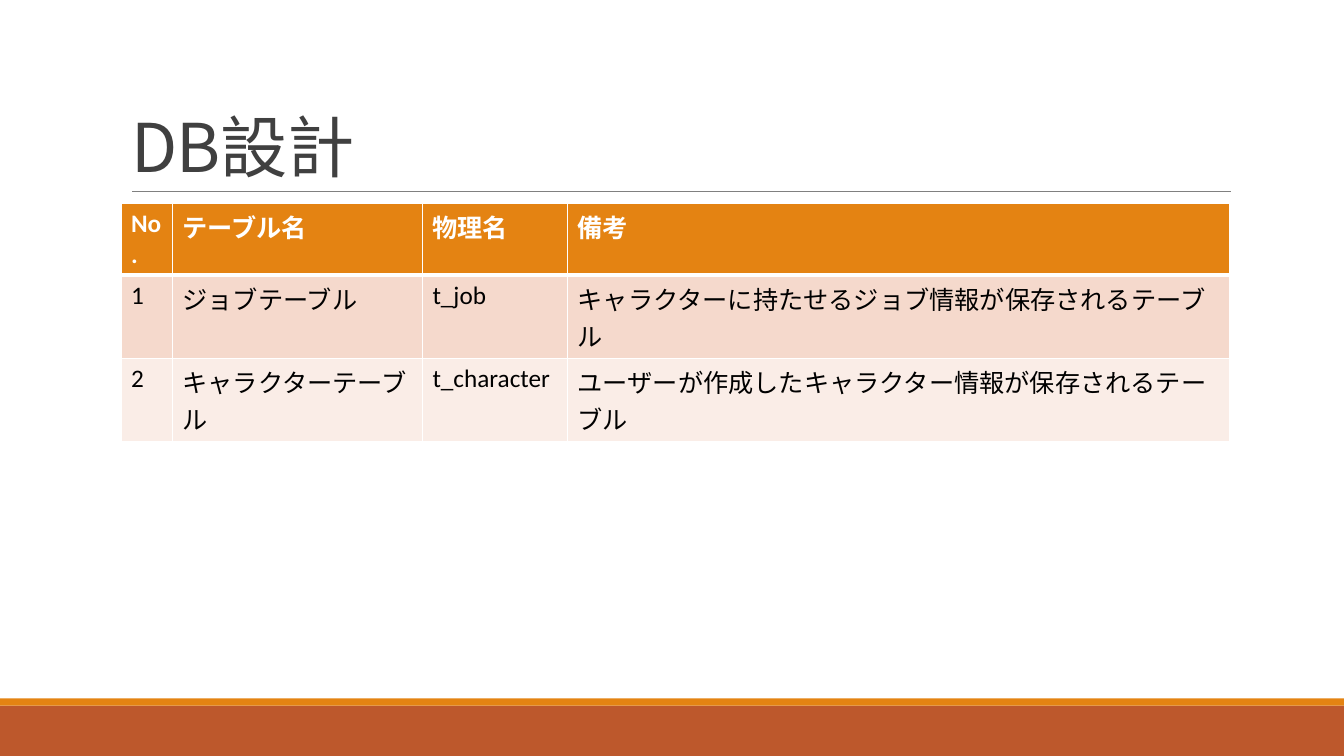
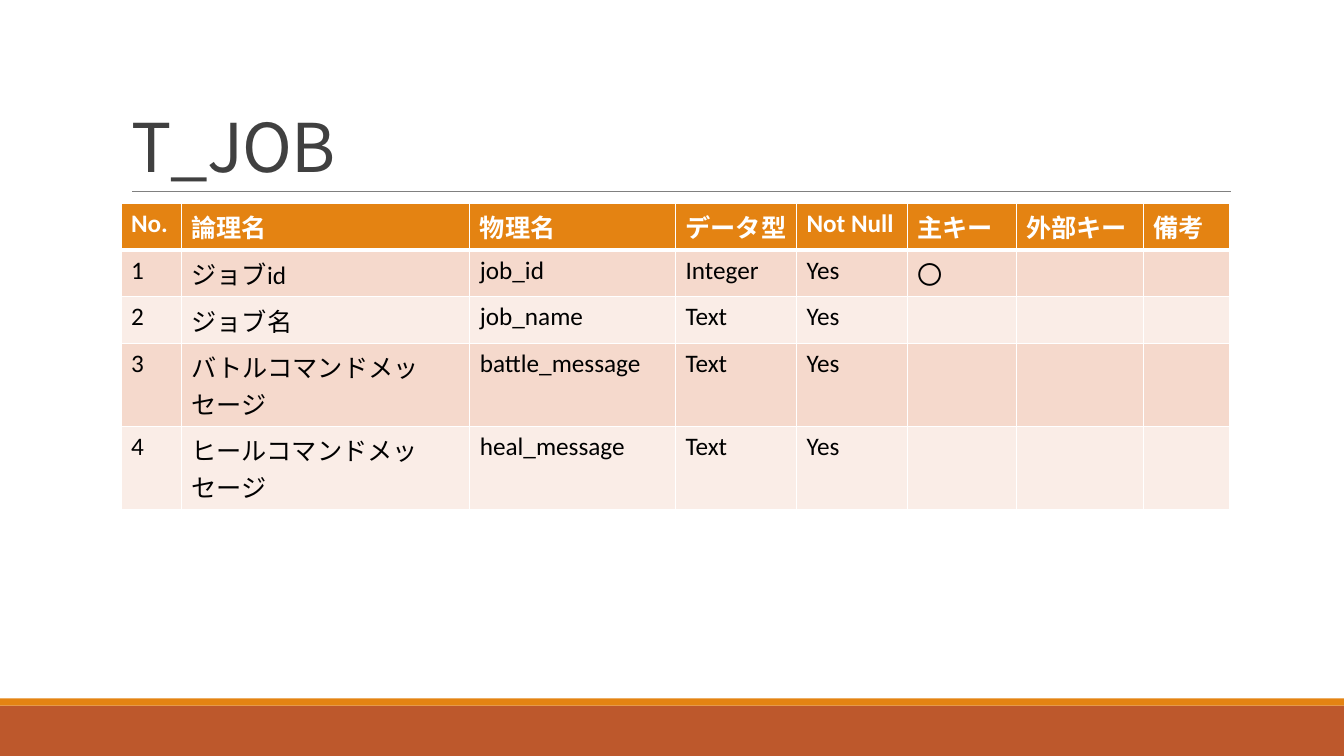
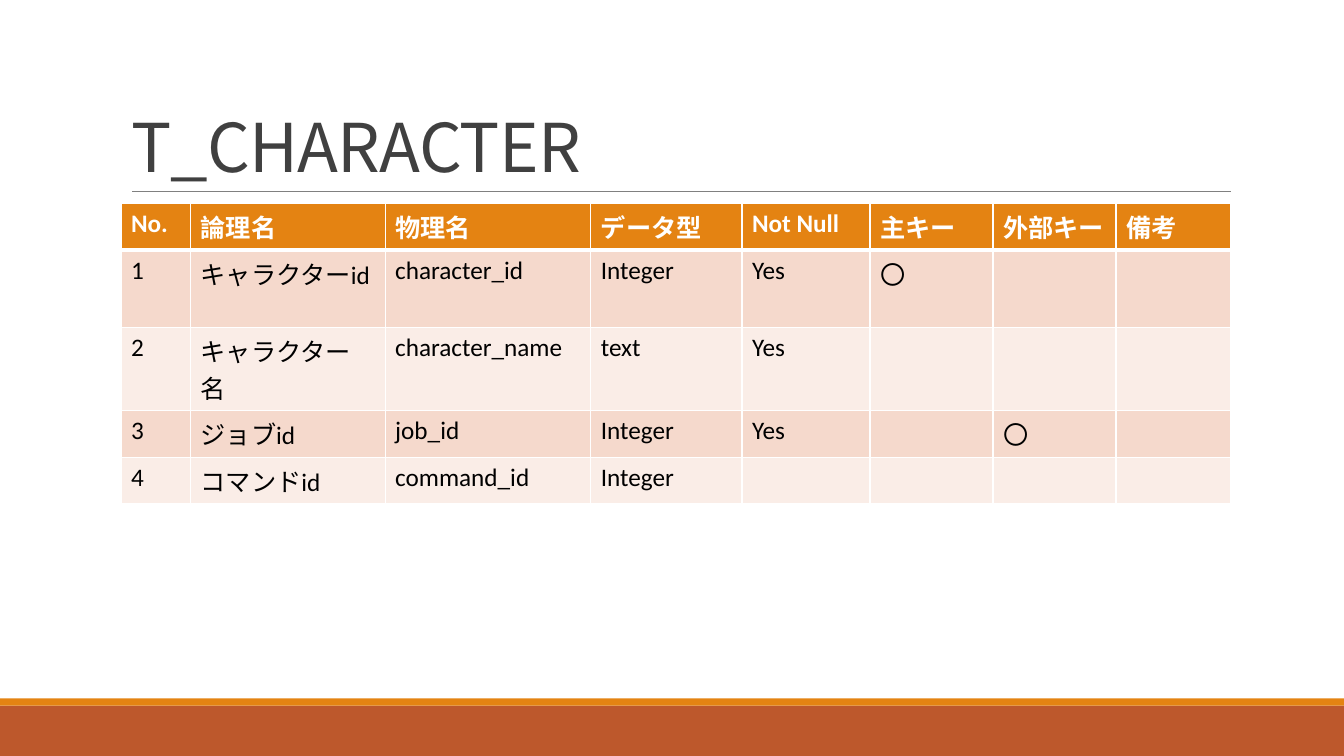
from dataclasses import dataclass

from lxml.etree import SubElement
from pptx import Presentation
from pptx.dml.color import RGBColor
from pptx.enum.shapes import MSO_CONNECTOR, MSO_SHAPE
from pptx.enum.text import MSO_ANCHOR, MSO_AUTO_SIZE, PP_ALIGN
from pptx.oxml.ns import qn
from pptx.util import Emu, Pt

PX = 9144  # EMU per px, 100 px to the inch
COLORS = {
    "band": "BD582C",
    "accent": "E48312",
    "rule": "808080",
    "title": "404040",
    "white": "FFFFFF",
    "text": "000000",
    "odd_row": "F5D9CC",
    "even_row": "FAEDE7",
}
LATIN_FONT = "Calibri"
JAPANESE_FONT = "Noto Sans CJK JP"
TITLE_ONLY = 5
SLIDE_WIDTH, SLIDE_HEIGHT = 1333, 750
CONTENT_LEFT, CONTENT_WIDTH = 120, 1100
TABLE_TOP, ROW_HEIGHT = 202, 41
FIELD_HEADER = ("No.", "論理名", "物理名", "データ型", "Not Null", "主キー", "外部キー", "備考")


@dataclass(frozen=True)
class Band:
    top: int
    height: int
    color: str


@dataclass(frozen=True)
class TablePage:
    title: str
    widths: tuple[int, ...]
    header: tuple[str, ...]
    records: tuple[tuple[str, ...], ...]  # row numbers and empty ends are filled in


BANDS = (Band(700, 50, "band"), Band(693, 7, "accent"))

PAGES = (
    TablePage(
        "DB設計",
        (51, 248, 144, 657),
        ("No.", "テーブル名", "物理名", "備考"),
        (
            ("ジョブテーブル", "t_job", "キャラクターに持たせるジョブ情報が保存されるテーブル"),
            ("キャラクターテーブル", "t_character", "ユーザーが作成したキャラクター情報が保存されるテーブル"),
        ),
    ),
    TablePage(
        "T_JOB",
        (60, 286, 204, 120, 110, 108, 126, 86),
        FIELD_HEADER,
        (
            ("ジョブid", "job_id", "Integer", "Yes", "〇"),
            ("ジョブ名", "job_name", "Text", "Yes"),
            ("バトルコマンドメッセージ", "battle_message", "Text", "Yes"),
            ("ヒールコマンドメッセージ", "heal_message", "Text", "Yes"),
        ),
    ),
    TablePage(
        "T_CHARACTER",
        (69, 193, 204, 150, 127, 122, 122, 114),
        FIELD_HEADER,
        (
            ("キャラクターid", "character_id", "Integer", "Yes", "〇"),
            ("キャラクター名", "character_name", "text", "Yes"),
            ("ジョブid", "job_id", "Integer", "Yes", "", "〇"),
            ("コマンドid", "command_id", "Integer"),
        ),
    ),
)


def px(length: int) -> Emu:
    return Emu(length * PX)


def rgb(name: str) -> RGBColor:
    return RGBColor.from_string(COLORS[name])


def set_font(paragraph, latin: str, size: int, color: str, bold: bool = False) -> None:
    font = paragraph.font
    font.name, font.size, font.bold = latin, Pt(size), bold
    font.color.rgb = rgb(color)
    SubElement(font._rPr, qn("a:ea"), typeface=JAPANESE_FONT)


def add_frame(slide) -> None:
    """Draw the bottom bands and the rule under the title."""
    for band in BANDS:
        shape = slide.shapes.add_shape(
            MSO_SHAPE.RECTANGLE, 0, px(band.top), px(SLIDE_WIDTH), px(band.height))
        shape.shadow.inherit = False
        shape.fill.solid()
        shape.fill.fore_color.rgb = rgb(band.color)
        shape.line.fill.background()
    rule = slide.shapes.add_connector(
        MSO_CONNECTOR.STRAIGHT, px(131), px(190), px(1221), px(190))
    rule.line.color.rgb = rgb("rule")
    rule.line.width = Pt(0.5)
    SubElement(rule._element.spPr, qn("a:effectLst"))


def set_title(slide, text: str) -> None:
    title = slide.shapes.title
    title.left, title.top = px(CONTENT_LEFT), px(31)
    title.width, title.height = px(CONTENT_WIDTH), px(159)
    frame = title.text_frame
    frame.text = text
    frame.word_wrap = True
    frame.auto_size = MSO_AUTO_SIZE.NONE
    frame.vertical_anchor = MSO_ANCHOR.BOTTOM
    paragraph = frame.paragraphs[0]
    paragraph.alignment = PP_ALIGN.LEFT
    paragraph.line_spacing = 0.85
    set_font(paragraph, JAPANESE_FONT, 48, "title")
    paragraph.font._rPr.set("spc", "-50")


def set_borders(cell, top: int, bottom: int) -> None:
    """Give the cell white borders, one point wide at the sides."""
    properties = cell._tc.get_or_add_tcPr()
    for side, width in (("L", 1), ("R", 1), ("T", top), ("B", bottom)):
        line = SubElement(properties, qn(f"a:ln{side}"), w=str(Pt(width)))
        fill = SubElement(line, qn("a:solidFill"))
        SubElement(fill, qn("a:srgbClr"), val=COLORS["white"])


def fill_cell(cell, text: str, row: int) -> None:
    is_header = row == 0
    set_borders(cell, top=3 if row == 1 else 1, bottom=3 if is_header else 1)
    cell.fill.solid()
    row_color = "odd_row" if row % 2 else "even_row"
    cell.fill.fore_color.rgb = rgb("accent" if is_header else row_color)
    cell.text = text
    set_font(cell.text_frame.paragraphs[0], LATIN_FONT, 18,
             "white" if is_header else "text", bold=is_header)


def add_table(slide, page: TablePage) -> None:
    rows = [page.header]
    rows += [(str(number), *record) for number, record in enumerate(page.records, 1)]
    columns = len(page.widths)
    table = slide.shapes.add_table(
        len(rows), columns, px(CONTENT_LEFT), px(TABLE_TOP),
        px(CONTENT_WIDTH), px(ROW_HEIGHT * len(rows))).table
    for column, width in zip(table.columns, page.widths):
        column.width = px(width)
    for row, texts in enumerate(rows):
        padded = texts + ("",) * (columns - len(texts))
        for column, text in enumerate(padded):
            fill_cell(table.cell(row, column), text, row)


def main() -> None:
    presentation = Presentation()
    presentation.slide_width = px(SLIDE_WIDTH)
    presentation.slide_height = px(SLIDE_HEIGHT)
    for page in PAGES:
        slide = presentation.slides.add_slide(presentation.slide_layouts[TITLE_ONLY])
        add_frame(slide)
        set_title(slide, page.title)
        add_table(slide, page)
    presentation.save("out.pptx")


if __name__ == "__main__":
    main()
